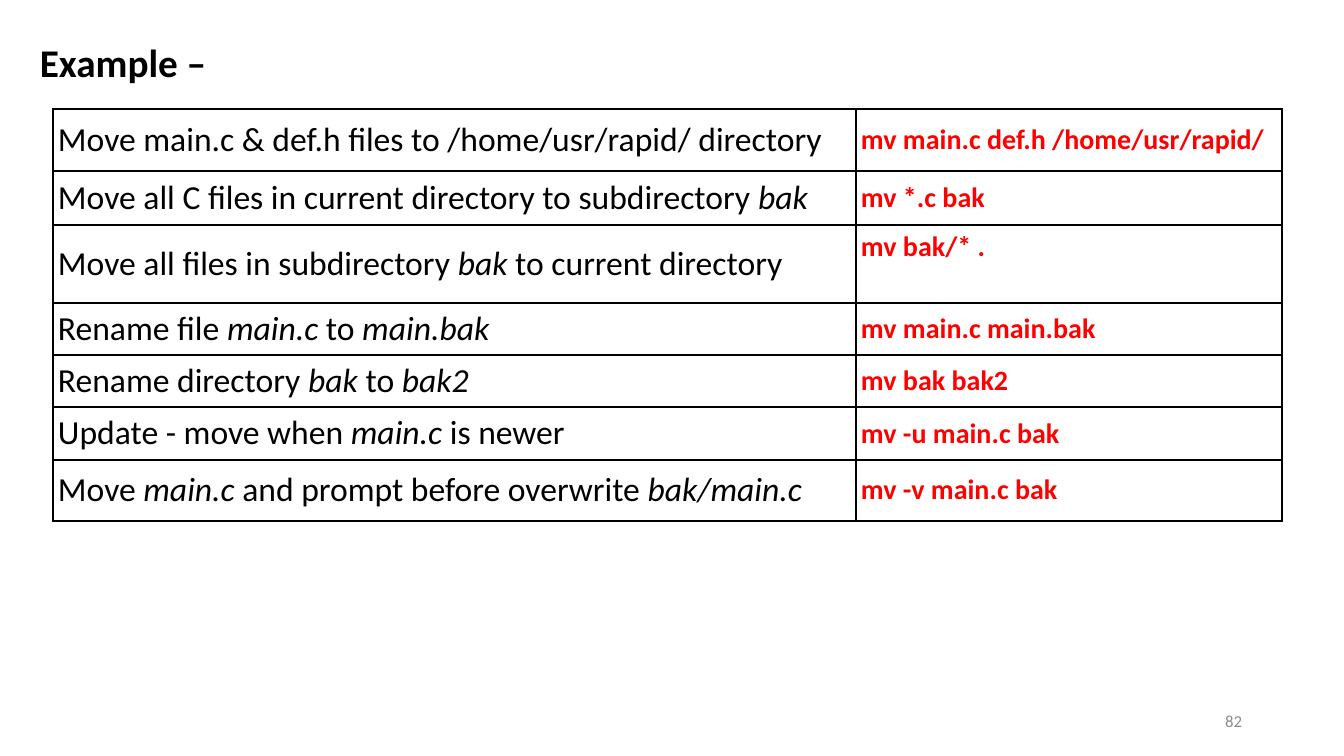
from lxml.etree import SubElement
from pptx import Presentation
from pptx.dml.color import RGBColor
from pptx.enum.text import MSO_ANCHOR, PP_ALIGN
from pptx.oxml.ns import qn
from pptx.util import Pt

PX = 914400 / 100.8
BLACK, RED, GREY = "000000", "FF0000", "8C8C8C"


def px(length):
    """Turn a length in pixels into EMU."""
    return round(length * PX)


def write(text_frame, text, size, color, bold=False):
    """Fill the first paragraph; text between underscores is italic."""
    paragraph = text_frame.paragraphs[0]
    paragraph.font.name = "Calibri"
    paragraph.font.size = Pt(size)
    paragraph.font.bold = bold
    paragraph.font.color.rgb = RGBColor.from_string(color)
    for index, part in enumerate(text.split("_")):
        if part:
            run = paragraph.add_run()
            run.text = part
            if index % 2:
                run.font.italic = True
    return paragraph


presentation = Presentation()
presentation.slide_width, presentation.slide_height = px(1344), px(756)
slide = presentation.slides.add_slide(presentation.slide_layouts[6])

title = slide.shapes.add_textbox(px(30), px(33), px(1263), px(58))
title.text_frame.word_wrap = True
write(title.text_frame, "Example –", 28, BLACK, bold=True)

# Row height, task, command
commands = [
    (62, "Move main.c & def.h files to /home/usr/rapid/ directory", "mv main.c def.h /home/usr/rapid/"),
    (54, "Move all C files in current directory to subdirectory _bak_", "mv *.c bak"),
    (78, "Move all files in subdirectory _bak _to current directory", "mv bak/* ."),
    (52, "Rename file _main.c_ to _main.bak_", "mv main.c main.bak"),
    (52, "Rename directory _bak_ to _bak2_", "mv bak bak2"),
    (53, "Update - move when _main.c_ is newer", "mv -u main.c bak"),
    (61, "Move _main.c_ and prompt before overwrite _bak/main.c_", "mv -v main.c bak"),
]
column_widths = (803, 426)
table_height = sum(height for height, _, _ in commands)
table = slide.shapes.add_table(
    len(commands), 2, px(53), px(109), px(sum(column_widths)), px(table_height)
).table
table.first_row = table.horz_banding = False
for column, width in zip(table.columns, column_widths):
    column.width = px(width)

for row, (height, task, command) in zip(table.rows, commands):
    row.height = px(height)
    task_cell, command_cell = row.cells
    write(task_cell.text_frame, task, 24, BLACK)
    write(command_cell.text_frame, command, 20, RED, bold=True)
    for cell in (task_cell, command_cell):
        cell.vertical_anchor = MSO_ANCHOR.MIDDLE
        cell.margin_left = cell.margin_right = px(5)
        cell.margin_top = cell.margin_bottom = px(5)
        properties = cell._tc.get_or_add_tcPr()
        for side in ("a:lnL", "a:lnR", "a:lnT", "a:lnB"):
            border = SubElement(properties, qn(side), w=str(Pt(1)))
            fill = SubElement(border, qn("a:solidFill"))
            SubElement(fill, qn("a:srgbClr"), val=BLACK)
        cell.fill.background()
table.cell(2, 1).vertical_anchor = MSO_ANCHOR.TOP

page_number = slide.shapes.add_textbox(px(950), px(701), px(302), px(40))
page_number.text_frame.word_wrap = True
page_number.text_frame.vertical_anchor = MSO_ANCHOR.MIDDLE
write(page_number.text_frame, "82", 12, GREY).alignment = PP_ALIGN.RIGHT

presentation.save("out.pptx")
